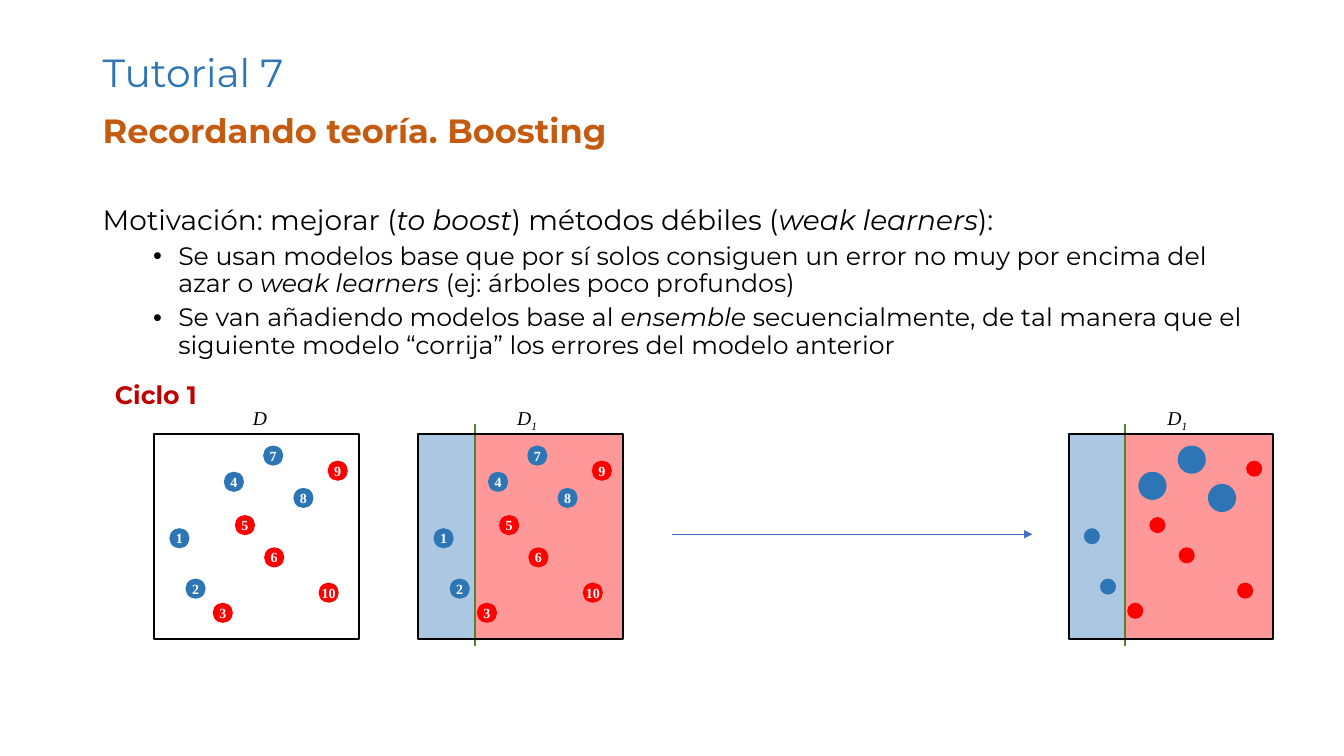
from lxml import etree
from pptx import Presentation, util as u
from pptx.dml.color import RGBColor
from pptx.enum import shapes, text
from pptx.oxml import ns

SCALE = 9144
SANS, SERIF = "Montserrat", "Times New Roman"
BLACK, WHITE, BLUE, RED = "000000", "FFFFFF", "2E75B6", "FF0000"
RECTANGLE, OVAL = shapes.MSO_SHAPE.RECTANGLE, shapes.MSO_SHAPE.OVAL

PANEL, SPLIT, OVERHANG = 203, 56, 10
SAMPLES = {
    4: (69, 37, BLUE), 7: (108, 11, BLUE), 8: (138, 53, BLUE),
    1: (15, 93, BLUE), 2: (31, 143, BLUE), 5: (80, 80, RED),
    9: (172, 26, RED), 3: (58, 167, RED), 6: (109, 112, RED),
    10: (163, 147, RED),
}
MISCLASSIFIED = {4, 7, 8}
REWEIGHTED = SAMPLES | {
    8: (138, 49, BLUE), 5: (80, 82, RED),
    9: (176, 26, RED), 10: (167, 147, RED),
}


def px(length):
    """Turn pixels into EMU."""
    return u.Emu(length * SCALE)


def color(value):
    """Turn a hex string into a colour."""
    return RGBColor.from_string(value)


def add_child(parent, tag, **attributes):
    """Append an XML element with attributes."""
    child = etree.SubElement(parent, ns.qn(tag))
    for name, value in attributes.items():
        child.set(name, str(value))
    return child


def set_font(font, name, size, fill, bold=False):
    """Set the face, size, colour and weight of a font."""
    font.name, font.size, font.bold = name, u.Pt(size), bold
    font.color.rgb = color(fill)


def add_text_box(parent, box, anchor=text.MSO_ANCHOR.TOP):
    """Add a wrapping text box and return its frame."""
    frame = parent.shapes.add_textbox(*map(px, box)).text_frame
    frame.word_wrap, frame.vertical_anchor = True, anchor
    return frame


def write(paragraph, words, name, size, fill, bold=False, before=0, spacing=0.9):
    """Write words into a paragraph, with *starred* parts in italics."""
    set_font(paragraph.font, name, size, fill, bold)
    paragraph.line_spacing, paragraph.space_before = spacing, u.Pt(before)
    for index, part in enumerate(words.split("*")):
        if part:
            run = paragraph.add_run()
            run.text = part
            if index % 2:
                run.font.italic = True


def indent(paragraph, margin, hanging=0):
    """Indent a paragraph, with a bullet where it hangs."""
    properties = paragraph._p.get_or_add_pPr()
    properties.set("marL", str(px(margin)))
    properties.set("indent", str(px(-hanging)))
    if hanging:
        font = properties.find(ns.qn("a:defRPr"))
        bullet = add_child(properties, "a:buChar", char="•")
        font.addprevious(bullet)
        bullet.addprevious(add_child(properties, "a:buFont", typeface="Arial"))


def add_shape(parent, kind, box, fill=None, alpha=None, outline=None):
    """Add a flat shape with an optional fill and outline."""
    shape = parent.shapes.add_shape(kind, *map(px, box))
    shape.shadow.inherit = False
    if fill:
        shape.fill.solid()
        shape.fill.fore_color.rgb = color(fill)
        if alpha:
            tint = shape.fill._xPr.find(".//" + ns.qn("a:srgbClr"))
            add_child(tint, "a:alpha", val=alpha * 1000)
    else:
        shape.fill.background()
    if outline:
        shape.line.color.rgb, shape.line.width = color(outline), u.Pt(1.5)
    else:
        shape.line.fill.background()
    return shape


def add_line(parent, start, end, stroke, width, arrow=False):
    """Add a straight line, with an arrowhead at its end if asked."""
    line = parent.shapes.add_connector(
        shapes.MSO_CONNECTOR.STRAIGHT, *map(px, start + end))
    line.line.color.rgb, line.line.width = color(stroke), u.Pt(width)
    if arrow:
        add_child(line.line._get_or_add_ln(), "a:tailEnd", type="triangle")
    add_child(line._element.spPr, "a:effectLst")


def add_heading(slide, left, top, width):
    """Add the title and subtitle."""
    title = add_text_box(slide, (left, top, width, 69), text.MSO_ANCHOR.MIDDLE)
    write(title.paragraphs[0], "Tutorial 7", SANS, 28, BLUE)
    subtitle = add_text_box(slide, (left, top + 69, width, 90))
    write(subtitle.paragraphs[0], "Recordando teoría. Boosting",
          SANS, 24, "C55A11", bold=True, before=10)


def add_motivation(slide, box):
    """Add the motivation and its bullets."""
    frame = add_text_box(slide, box)
    write(frame.paragraphs[0],
          "Motivación: mejorar (*to boost*) métodos débiles (*weak learners*):",
          SANS, 20, BLACK, before=10)
    for words in (
        "Se usan modelos base que por sí solos consiguen un error no muy por "
        "encima del azar o *weak learners *(ej: árboles poco profundos)",
        "Se van añadiendo modelos base al *ensemble* secuencialmente, de tal "
        "manera que el siguiente modelo “corrija” los errores del modelo anterior",
    ):
        paragraph = frame.add_paragraph()
        write(paragraph, words, SANS, 18, BLACK, before=5)
        indent(paragraph, 75, 25)


def add_sample(panel, left, top, size, fill, number=None):
    """Add one sample dot, numbered if a number is given."""
    dot = add_shape(panel, OVAL, (left, top, size, size), fill)
    if number:
        frame = dot.text_frame
        frame.margin_left = frame.margin_right = 0
        frame.margin_top = frame.margin_bottom = 0
        frame.word_wrap, frame.vertical_anchor = False, text.MSO_ANCHOR.MIDDLE
        paragraph = frame.paragraphs[0]
        write(paragraph, str(number), SERIF, 10, WHITE, bold=True, spacing=1)
        paragraph.alignment = text.PP_ALIGN.CENTER


def add_panel(slide, left, top, split=True, weighted=False):
    """Add a dataset panel, with its decision regions if split."""
    panel = slide.shapes.add_group_shape()
    if split:
        border = left + SPLIT
        add_shape(panel, RECTANGLE, (left, top, SPLIT, PANEL), BLUE, 40)
        add_shape(panel, RECTANGLE, (border, top, PANEL - SPLIT, PANEL), RED, 40)
        add_line(panel, (border, top - OVERHANG),
                 (border, top + PANEL + OVERHANG - 3), "548235", 1.5)
    add_shape(panel, RECTANGLE, (left, top, PANEL, PANEL), outline=BLACK)
    samples = REWEIGHTED if weighted else SAMPLES
    for number, (across, down, fill) in samples.items():
        if weighted:
            size = 28 if number in MISCLASSIFIED else 16
            add_sample(panel, left + across, top + down, size, fill)
        else:
            add_sample(panel, left + across, top + down, 20, fill, number)
    label = add_text_box(panel, (left + 88, top - 33, 55 if split else 39, 34))
    paragraph = label.paragraphs[0]
    write(paragraph, "*D*", SERIF, 14, BLACK, spacing=1)
    if split:
        subscript = paragraph.add_run()
        subscript.text, subscript.font.italic = "1", True
        subscript._r.get_or_add_rPr().set("baseline", "-25000")


def add_cycle(slide, left, top):
    """Add the first boosting cycle: its name, panels and arrow."""
    panel_top = top + 60
    add_panel(slide, left + 99, panel_top, split=False)
    add_panel(slide, left + 361, panel_top)
    add_panel(slide, left + 1006, panel_top, weighted=True)
    add_line(slide, (left + 613, top + 159), (left + 970, top + 159),
             "4472C4", 0.5, arrow=True)
    paragraph = add_text_box(slide, (left, top, 667, 40)).paragraphs[0]
    write(paragraph, "Ciclo 1", SANS, 18, "C00000", bold=True, spacing=1)
    indent(paragraph, 50)


def main():
    """Build the slide and save it."""
    presentation = Presentation()
    presentation.slide_width, presentation.slide_height = px(1333), px(750)
    slide = presentation.slides.add_slide(presentation.slide_layouts[6])
    add_heading(slide, 92, 40, 1150)
    add_motivation(slide, (92, 200, 1150, 476))
    add_cycle(slide, 54, 371)
    presentation.save("out.pptx")


if __name__ == "__main__":
    main()
